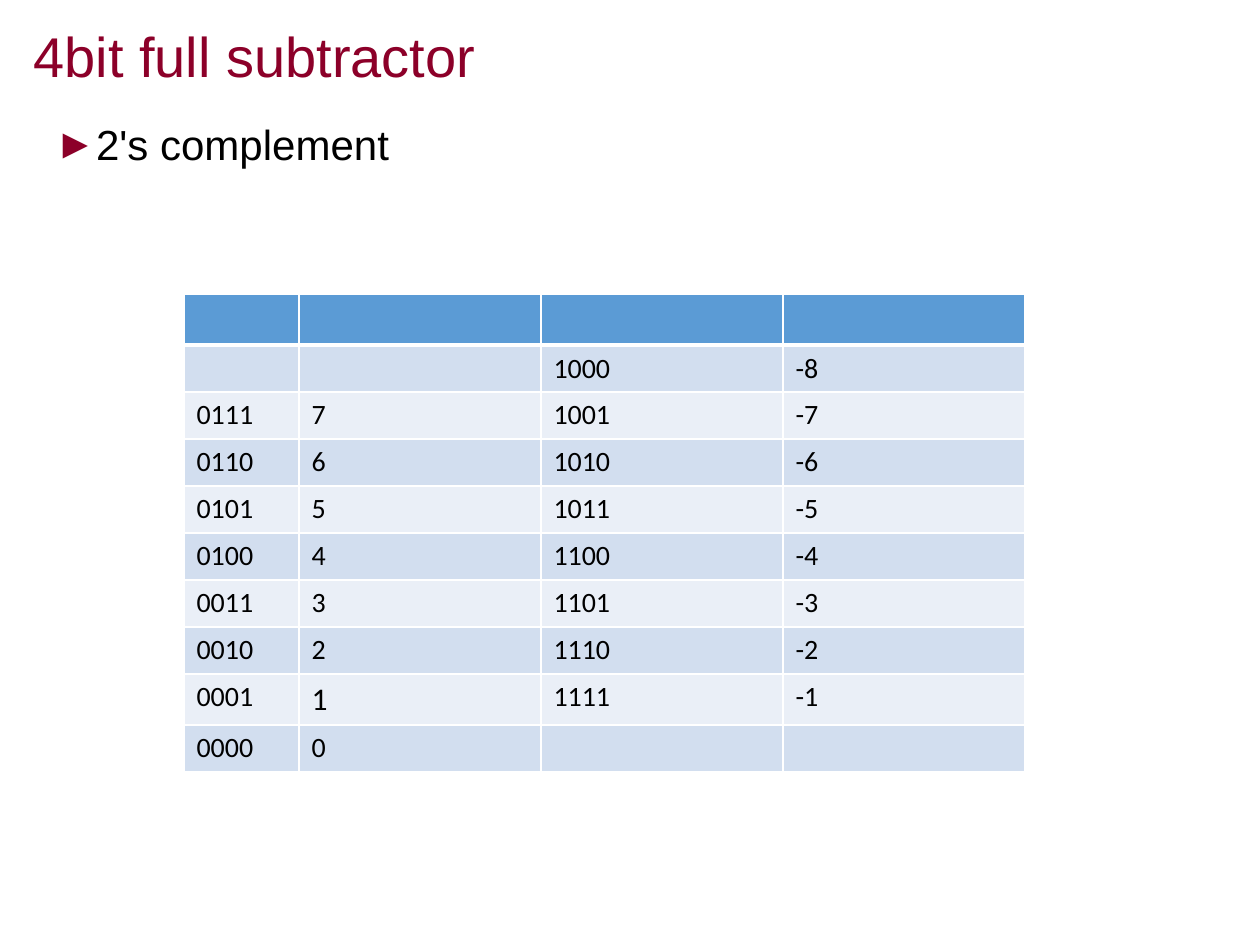
"""Build the slide on 4-bit subtraction with its two's complement table."""
from lxml.etree import SubElement
from pptx import Presentation
from pptx.dml.color import RGBColor
from pptx.enum.text import MSO_ANCHOR as Anchor, PP_ALIGN as Align
from pptx.oxml.ns import qn
from pptx.util import Pt

TITLE = "4bit full subtractor"
BULLET = "2's complement"
ROWS = [
    ("", "", "", ""),
    ("", "", "1000", "-8"),
    ("0111", "7", "1001", "-7"),
    ("0110", "6", "1010", "-6"),
    ("0101", "5", "1011", "-5"),
    ("0100", "4", "1100", "-4"),
    ("0011", "3", "1101", "-3"),
    ("0010", "2", "1110", "-2"),
    ("0001", "1", "1111", "-1"),
    ("0000", "0", "", ""),
]
LARGE_CELL = (8, 1)

PX = 914400 // 126
TITLE_BOX = (21, 18, 1143, 83)
BODY_BOX = (42, 118, 1177, 775)
TABLE_LEFT, TABLE_TOP = 184, 294
COLUMN_WIDTHS = [115, 242, 242, 242]
ROW_HEIGHTS = [51] + [47] * 7 + [51, 47]
INDENT = 37

MAROON = RGBColor(0x8C, 0x00, 0x29)
BLACK = RGBColor(0x00, 0x00, 0x00)
WHITE = RGBColor(0xFF, 0xFF, 0xFF)
HEADER = RGBColor(0x5B, 0x9B, 0xD5)
BANDS = [RGBColor(0xEA, 0xEF, 0xF7), RGBColor(0xD2, 0xDE, 0xEF)]


def write(frame, text, size, font="Arial", color=BLACK, spacing=None, before=None):
    para = frame.paragraphs[0]
    para.alignment = Align.LEFT
    para.line_spacing = spacing
    para.space_before = before
    if text:
        span = para.add_run()
        span.text = text
        span.font.size = Pt(size)
        span.font.name = font
        span.font.bold = False
        span.font.color.rgb = color
    else:
        para._p.get_or_add_endParaRPr().set("sz", str(size * 100))
    return para


def place(box, bounds, anchor):
    box.left, box.top, box.width, box.height = (n * PX for n in bounds)
    box.text_frame.word_wrap = True
    box.text_frame.vertical_anchor = anchor


def add_bullet(para, symbol, color):
    props = para._p.get_or_add_pPr()
    props.set("marL", str(INDENT * PX))
    props.set("indent", str(-INDENT * PX))
    SubElement(SubElement(props, qn("a:buClr")), qn("a:srgbClr"), val=str(color))
    SubElement(props, qn("a:buFont"), typeface="Arial")
    SubElement(props, qn("a:buChar"), char=symbol)


def add_borders(cell, top=1, bottom=1):
    props = cell._tc.get_or_add_tcPr()
    for side, width in zip("LRTB", (1, 1, top, bottom)):
        line = SubElement(props, qn(f"a:ln{side}"), w=str(Pt(width)))
        fill = SubElement(line, qn("a:solidFill"))
        SubElement(fill, qn("a:srgbClr"), val=str(WHITE))


def add_number_table(slide):
    frame = slide.shapes.add_table(
        len(ROWS), len(COLUMN_WIDTHS), TABLE_LEFT * PX, TABLE_TOP * PX,
        sum(COLUMN_WIDTHS) * PX, sum(ROW_HEIGHTS) * PX)
    table = frame.table
    for column, width in zip(table.columns, COLUMN_WIDTHS):
        column.width = width * PX
    for r, (row, height) in enumerate(zip(ROWS, ROW_HEIGHTS)):
        table.rows[r].height = height * PX
        for c, text in enumerate(row):
            cell = table.cell(r, c)
            add_borders(cell, top=3 if r == 1 else 1, bottom=3 if r == 0 else 1)
            cell.fill.solid()
            cell.fill.fore_color.rgb = BANDS[r % 2] if r else HEADER
            size = 18 if (r, c) == LARGE_CELL else 16
            write(cell.text_frame, text, size, font="Calibri")


def main():
    deck = Presentation()
    deck.slide_width, deck.slide_height = 1260 * PX, 945 * PX
    slide = deck.slides.add_slide(deck.slide_layouts[1])
    title, body = slide.placeholders
    place(title, TITLE_BOX, Anchor.MIDDLE)
    write(title.text_frame, TITLE, 32, color=MAROON, spacing=0.9)
    place(body, BODY_BOX, Anchor.TOP)
    para = write(body.text_frame, BULLET, 24, spacing=0.9, before=Pt(10))
    add_bullet(para, "►", MAROON)
    add_number_table(slide)
    deck.save("out.pptx")


if __name__ == "__main__":
    main()
